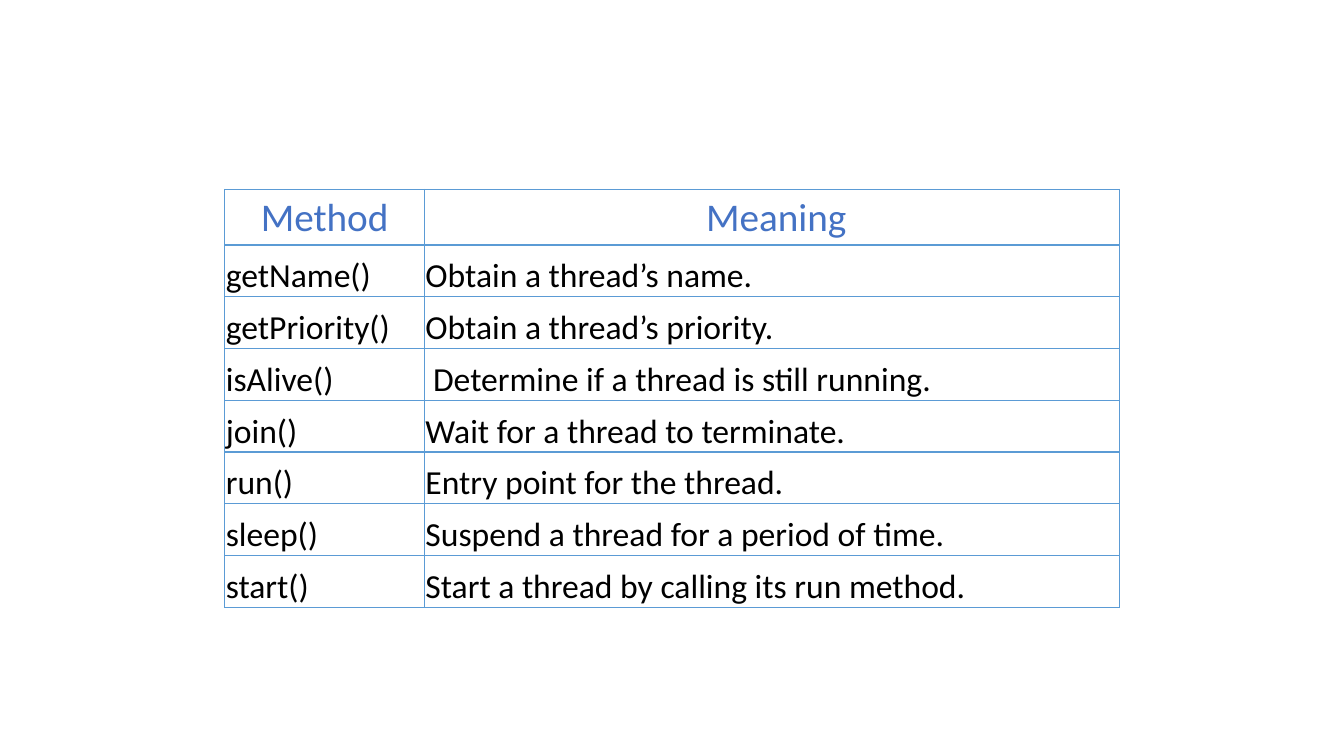
import pptx
import pptx.util
import pptx.dml.color
import pptx.enum.text
import pptx.oxml
import pptx.oxml.ns

Inches = pptx.util.Inches
Pt = pptx.util.Pt
RGBColor = pptx.dml.color.RGBColor
Anchor = pptx.enum.text.MSO_ANCHOR
Align = pptx.enum.text.PP_ALIGN

HEADING = RGBColor(0x44, 0x72, 0xC4)
BODY = RGBColor(0, 0, 0)
GRID = RGBColor(0x5B, 0x9B, 0xD5)

ENTRIES = [
    ("Method", " Meaning"),
    ("getName()", "Obtain a thread’s name."),
    ("getPriority()", "Obtain a thread’s priority."),
    ("isAlive()", " Determine if a thread is still running."),
    ("join()", "Wait for a thread to terminate."),
    ("run()", "Entry point for the thread."),
    ("sleep()", "Suspend a thread for a period of time."),
    ("start() ", "Start a thread by calling its run method."),
]


def add_borders(cell):
    properties = cell._tc.get_or_add_tcPr()
    for side in ("lnL", "lnR", "lnT", "lnB"):
        properties.append(pptx.oxml.parse_xml(
            f'<a:{side} {pptx.oxml.ns.nsdecls("a")} w="{Pt(1)}">'
            f'<a:solidFill><a:srgbClr val="{GRID}"/></a:solidFill></a:{side}>'))


presentation = pptx.Presentation()
presentation.slide_width = Inches(13.33)
presentation.slide_height = Inches(7.5)
slide = presentation.slides.add_slide(presentation.slide_layouts[6])

methods = slide.shapes.add_table(
    len(ENTRIES), 2, Inches(2.23), Inches(1.88), Inches(8.87), Inches(4.15)).table
methods.first_row = False
methods.horz_banding = False
methods.columns[0].width = Inches(1.98)
methods.columns[1].width = Inches(6.89)

for row, entry in enumerate(ENTRIES):
    is_header = row == 0
    methods.rows[row].height = Inches(0.55 if is_header else 0.514)
    for column, wording in enumerate(entry):
        cell = methods.cell(row, column)
        add_borders(cell)
        cell.fill.background()
        cell.margin_left = cell.margin_right = cell.margin_top = Inches(0.01)
        cell.margin_bottom = 0
        cell.vertical_anchor = Anchor.MIDDLE if is_header else Anchor.BOTTOM
        cell.text_frame.text = wording
        paragraph = cell.text_frame.paragraphs[0]
        paragraph.alignment = Align.CENTER if is_header else Align.LEFT
        font = paragraph.runs[0].font
        font.name = "Calibri"
        font.size = Pt(28 if is_header else 24)
        font.bold = False
        font.color.rgb = HEADING if is_header else BODY

presentation.save("out.pptx")
